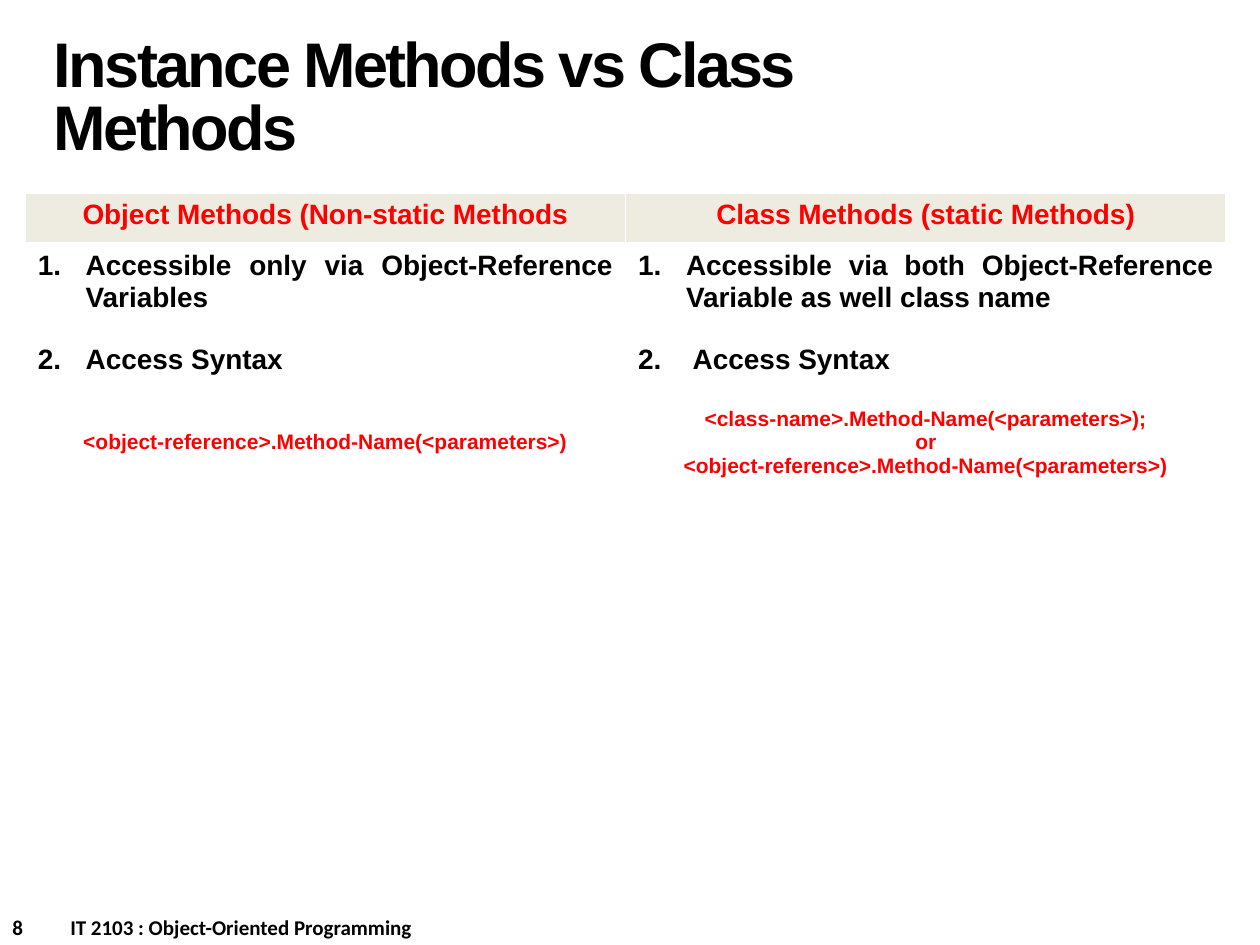
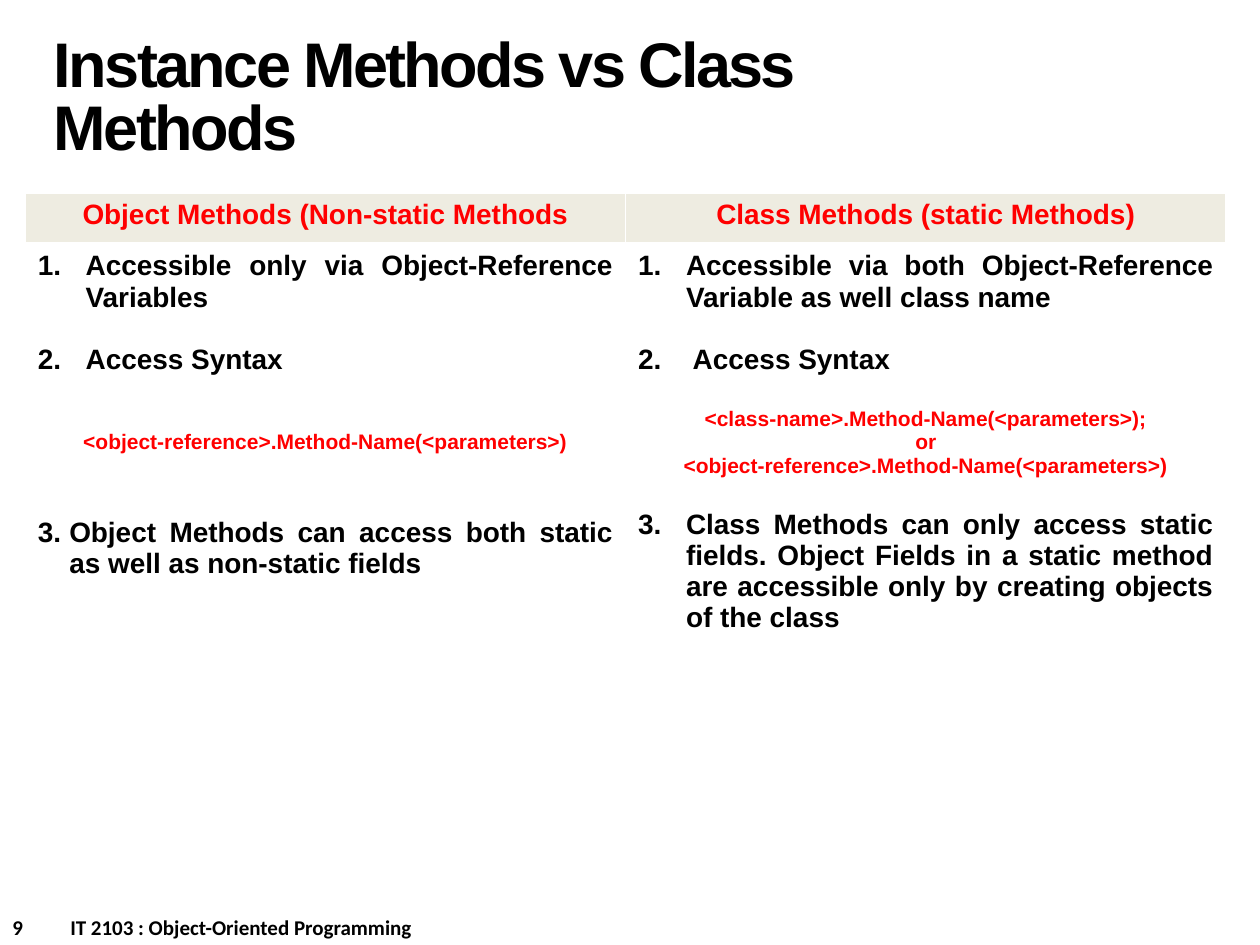
"""Builds two slides comparing instance methods with class methods."""
from lxml import etree
from pptx import Presentation
from pptx import util as u
from pptx.dml.color import RGBColor
from pptx.enum import text
from pptx.oxml import ns

COLORS = {"ink": "000000", "accent": "FF0000", "header": "EEECE1", "paper": "FFFFFF"}
ALIGN = text.PP_ALIGN
TITLE = "Instance Methods vs Class Methods"
COURSE = "IT 2103 : Object-Oriented Programming"
HEADINGS = ["Object Methods (Non-static Methods", "Class Methods (static Methods)"]

POINT = dict(size=16, align=ALIGN.JUSTIFY, hanging=0.38)
SYNTAX = dict(size=12, color="accent", align=ALIGN.CENTER)
OBJECT_CALL = "<object-reference>.Method-Name(<parameters>)"

OBJECT_METHODS = [
    ("Accessible only via Object-Reference Variables", dict(POINT, number=1)),
    ("Access Syntax", dict(POINT, number=2, before=18)),
    (OBJECT_CALL, dict(SYNTAX, before=31.5)),
]
CLASS_METHODS = [
    ("Accessible via both Object-Reference Variable as well class name", dict(POINT, number=1)),
    (" Access Syntax", dict(POINT, number=2, before=18)),
    ("<class-name>.Method-Name(<parameters>);", dict(SYNTAX, before=18)),
    ("or", SYNTAX),
    (OBJECT_CALL, SYNTAX),
]
OBJECT_FIELDS = (
    "Object Methods can access both static as well as non-static fields ",
    dict(POINT, number=3, before=36, hanging=0.25),
)
CLASS_FIELDS = (
    "Class Methods can only access static fields. Object Fields in a static method "
    "are accessible only by creating objects of the class",
    dict(POINT, number=3, before=18),
)
FIRST_NUMBER = 8
SLIDES = [
    dict(columns=[OBJECT_METHODS, CLASS_METHODS], height=3.04),
    dict(columns=[OBJECT_METHODS + [OBJECT_FIELDS], CLASS_METHODS + [CLASS_FIELDS]], height=4.57),
]
TABLE_LEFT, TABLE_TOP, TABLE_WIDTH, HEADER_HEIGHT = 0.2, 1.53, 9.53, 0.41


def write(frame, words, size=16, color="ink", font="Arial", align=ALIGN.LEFT,
          before=0, hanging=0, number=None, leading=None, tracking=None):
    paragraph = frame.paragraphs[0]
    if paragraph.runs:
        paragraph = frame.add_paragraph()
    paragraph.alignment = align
    paragraph.space_before = u.Pt(before)
    if leading:
        paragraph.line_spacing = u.Pt(leading)
    properties = paragraph._p.get_or_add_pPr()
    if hanging:
        properties.set("marL", str(u.Inches(hanging)))
        properties.set("indent", str(-u.Inches(hanging)))
    if number:
        etree.SubElement(properties, ns.qn("a:buAutoNum"), type="arabicPeriod", startAt=str(number))
    run = paragraph.add_run()
    run.text = words
    run.font.name, run.font.size, run.font.bold = font, u.Pt(size), True
    run.font.color.rgb = RGBColor.from_string(COLORS[color])
    if tracking:
        run._r.get_or_add_rPr().set("spc", str(int(tracking * 100)))


def add_text_box(slide, words, left, top, width, height, anchor=text.MSO_ANCHOR.TOP, **style):
    frame = slide.shapes.add_textbox(*map(u.Inches, (left, top, width, height))).text_frame
    frame.word_wrap = True
    frame.vertical_anchor = anchor
    write(frame, words, **style)


def paint_cell(cell, fill, bottom):
    cell.fill.solid()
    cell.fill.fore_color.rgb = RGBColor.from_string(COLORS[fill])
    properties = cell._tc.get_or_add_tcPr()
    for position, side in enumerate("LRTB"):
        line = etree.Element(ns.qn("a:ln" + side), w=str(u.Pt(bottom if side == "B" else 1)))
        solid = etree.SubElement(line, ns.qn("a:solidFill"))
        etree.SubElement(solid, ns.qn("a:srgbClr"), val=COLORS["paper"])
        properties.insert(position, line)


def add_comparison(slide, columns, height):
    area = map(u.Inches, (TABLE_LEFT, TABLE_TOP, TABLE_WIDTH, height))
    table = slide.shapes.add_table(2, len(columns), *area).table
    table.horz_banding = False
    table.rows[0].height = u.Inches(HEADER_HEIGHT)
    table.rows[1].height = u.Inches(height - HEADER_HEIGHT)
    for index, (heading, points) in enumerate(zip(HEADINGS, columns)):
        header, body = table.cell(0, index), table.cell(1, index)
        paint_cell(header, "header", bottom=3)
        paint_cell(body, "paper", bottom=1)
        write(header.text_frame, heading, color="accent", align=ALIGN.CENTER)
        for words, style in points:
            write(body.text_frame, words, **style)


def main():
    presentation = Presentation()
    presentation.slide_width, presentation.slide_height = u.Inches(10), u.Inches(7.5)
    for number, content in enumerate(SLIDES, FIRST_NUMBER):
        slide = presentation.slides.add_slide(presentation.slide_layouts[6])
        add_text_box(slide, f"{number}\t{COURSE}", 0, 7.21, 5, 0.3,
                     size=12, font="Calibri", hanging=0.46)
        add_text_box(slide, TITLE, 0.33, 0.17, 6.92, 1.25, anchor=text.MSO_ANCHOR.MIDDLE,
                     size=36, leading=36, tracking=-1.5)
        add_comparison(slide, **content)
    presentation.save("out.pptx")


if __name__ == "__main__":
    main()
